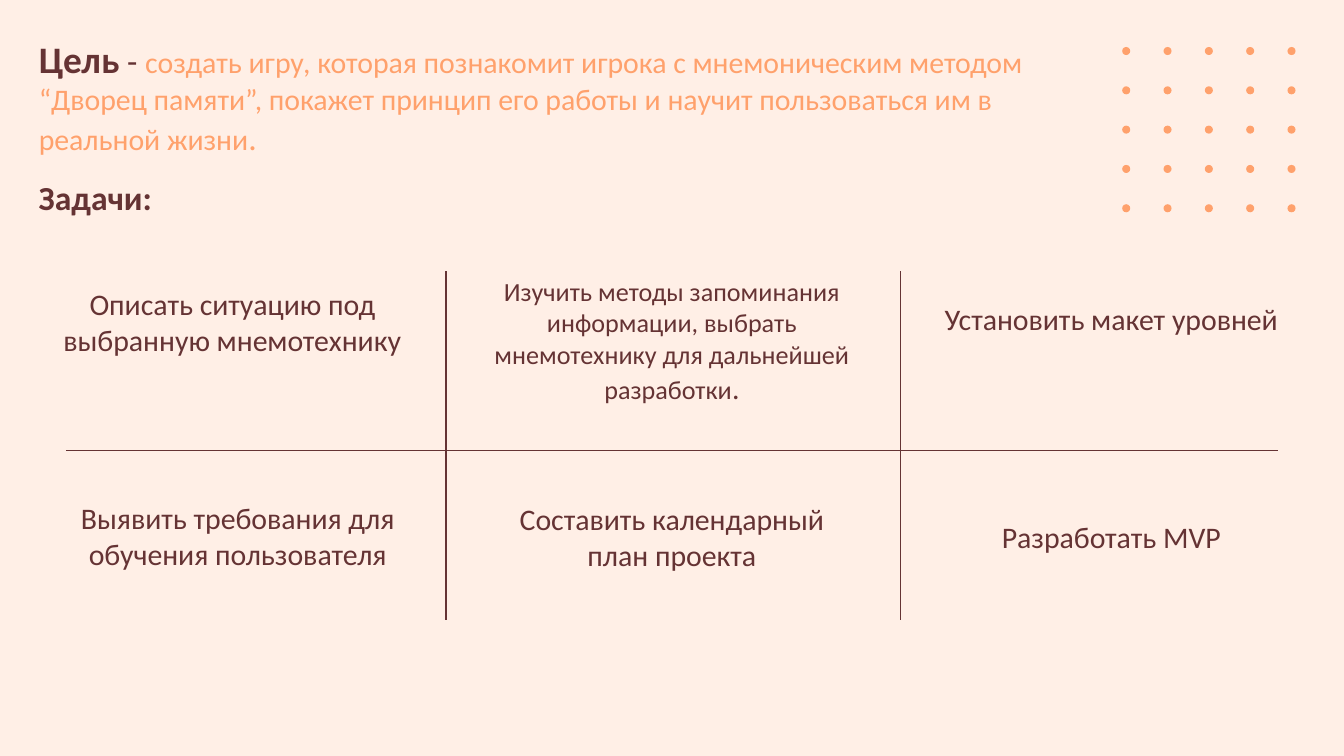
import pptx
import pptx.dml.color
import pptx.enum.shapes
import pptx.enum.text
import pptx.util
from lxml import etree
from pptx.oxml.ns import qn
from pptx.util import Inches

COLORS = {"background": "FFEFE6", "dark": "653334", "accent": "FFA16C"}


class GoalPage:
    """Holds the style and the current slide, and draws each kind of element."""

    font_name = "Calibri"

    def __init__(self, deck):
        self.page = deck.slides.add_slide(deck.slide_layouts[6])
        self.paint(self.page.background.fill, "background")

    def color(self, name):
        return pptx.dml.color.RGBColor.from_string(COLORS[name])

    def paint(self, fill, name):
        fill.solid()
        fill.fore_color.rgb = self.color(name)

    def text(self, left, top, width, height, spans, centered=False, inset=0.05):
        box = self.page.shapes.add_textbox(
            Inches(left), Inches(top), Inches(width), Inches(height))
        frame = box.text_frame
        frame.word_wrap = True
        frame.margin_top = frame.margin_bottom = Inches(inset)
        para = frame.paragraphs[0]
        align = pptx.enum.text.PP_ALIGN
        para.alignment = align.CENTER if centered else align.LEFT
        for words, size, color, bold in spans:
            span = para.add_run()
            span.text = words
            span.font.name = self.font_name
            span.font.size = pptx.util.Pt(size)
            span.font.bold = bold
            span.font.color.rgb = self.color(color)

    def line(self, x1, y1, x2, y2):
        line = self.page.shapes.add_connector(
            pptx.enum.shapes.MSO_CONNECTOR.STRAIGHT,
            Inches(x1), Inches(y1), Inches(x2), Inches(y2))
        line.line.color.rgb = self.color("dark")
        line.line.width = pptx.util.Pt(0.75)
        etree.SubElement(line._element.spPr, qn("a:effectLst"))

    def dot(self, left, top, size=0.06):
        dot = self.page.shapes.add_shape(
            pptx.enum.shapes.MSO_SHAPE.OVAL,
            Inches(left), Inches(top), Inches(size), Inches(size))
        dot.shadow.inherit = False
        self.paint(dot.fill, "accent")
        dot.line.fill.background()


def main():
    deck = pptx.Presentation()
    deck.slide_width, deck.slide_height = Inches(10), Inches(10 * 9 / 16)
    goal = GoalPage(deck)

    for column in range(5):
        for row in range(5):
            goal.dot(8.35 + column * 1.23 / 4, 0.35 + row * 1.17 / 4)

    goal.text(0.19, 0.17, 8.12, 1.04, [
        ("Цель", 20, "dark", True),
        (" ", 18, "accent", False),
        ("- ", 18, "dark", False),
        ("создать игру, которая познакомит игрока с мнемоническим методом "
         "“Дворец памяти”, покажет принцип его работы и научит пользоваться "
         "им в реальной жизни", 16, "accent", False),
        (".", 18, "accent", False),
    ], inset=0.1)
    goal.text(0.19, 1.27, 1.54, 0.4, [("Задачи:", 18, "dark", True)])

    goal.text(3.57, 2, 2.86, 1.31, [
        ("Изучить методы запоминания информации, выбрать мнемотехнику "
         "для дальнейшей разработки", 14, "dark", False),
        (".", 16, "dark", False),
    ], centered=True)
    tasks = [
        (0.3, 2.08, 0.91, "Описать ситуацию под выбранную мнемотехнику"),
        (0.34, 3.67, 0.64, "Выявить требования для обучения пользователя"),
        (3.57, 3.68, 0.64, "Составить календарный план проекта"),
        (6.84, 3.81, 0.37, "Разработать MVP"),
        (6.84, 2.19, 0.64, "Установить макет уровней"),
    ]
    for left, top, height, words in tasks:
        goal.text(left, top, 2.86, height, [(words, 16, "dark", False)], centered=True)

    goal.line(0.49, 3.35, 9.51, 3.35)
    for x in (3.32, 6.7):
        goal.line(x, 4.61, x, 2.02)

    deck.save("out.pptx")


if __name__ == "__main__":
    main()
